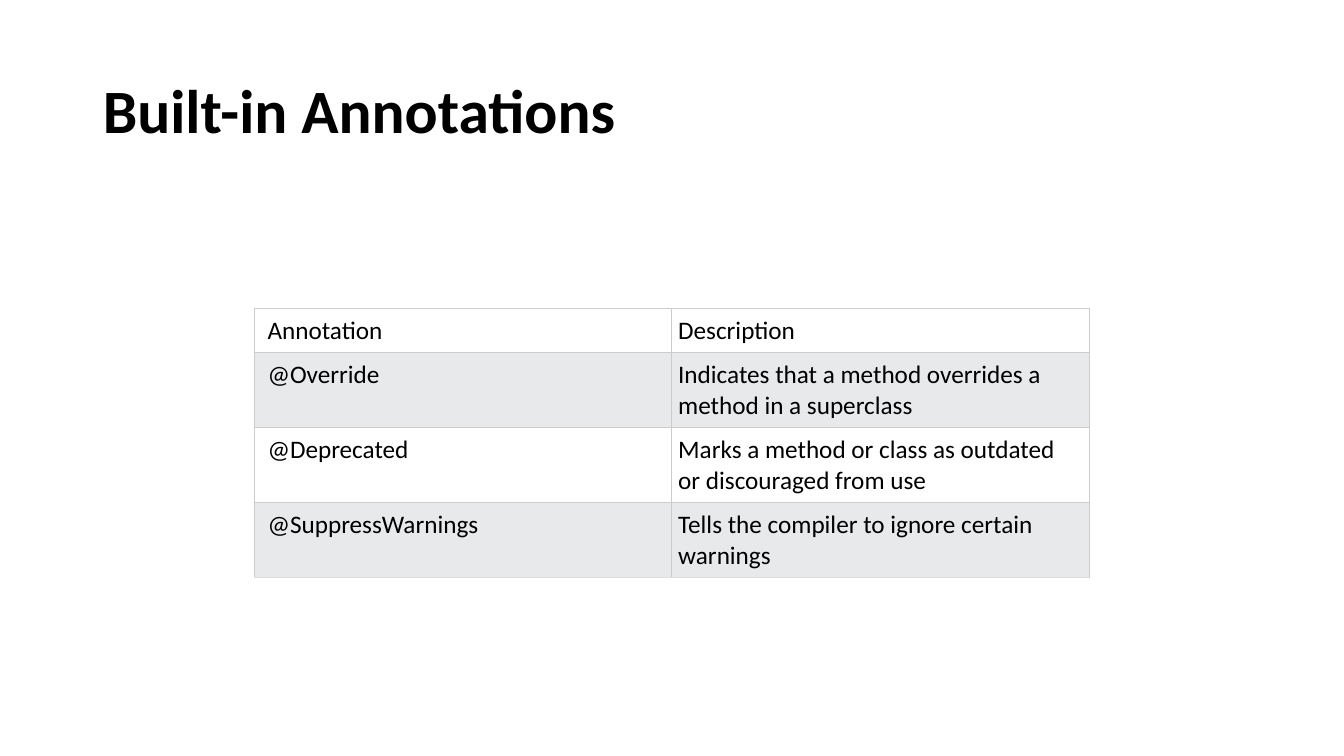
from dataclasses import dataclass

from lxml import etree
from pptx import Presentation
from pptx.dml.color import RGBColor
from pptx.enum.text import MSO_ANCHOR, PP_ALIGN
from pptx.oxml.ns import qn
from pptx.util import Inches, Pt

MIDDLE, TOP = MSO_ANCHOR.MIDDLE, MSO_ANCHOR.TOP
LEFT = PP_ALIGN.LEFT
TITLE_ONLY = 5


@dataclass(frozen=True)
class Theme:
    font: str = "Calibri"
    text: str = "000000"
    plain: str = "FFFFFF"
    band: str = "E7E9EB"
    border: str = "CCCCCC"
    bottom_border: str = "DDDDDD"
    title_size: int = 44
    body_size: int = 18
    border_width: float = 0.6


THEME = Theme()

ANNOTATIONS = [
    ("Annotation", "Description"),
    ("@Override", "Indicates that a method overrides a method in a superclass"),
    ("@Deprecated", "Marks a method or class as outdated or discouraged from use"),
    ("@SuppressWarnings", "Tells the compiler to ignore certain warnings"),
]


def style(p, size, bold=False):
    p.alignment = LEFT
    p.font.name = THEME.font
    p.font.size = Pt(size)
    p.font.bold = bold
    p.font.color.rgb = RGBColor.from_string(THEME.text)


def add_title(s, text, left, top, width, height):
    sp = s.shapes.title
    sp.left, sp.top = Inches(left), Inches(top)
    sp.width, sp.height = Inches(width), Inches(height)
    tf = sp.text_frame
    tf.text = text
    tf.vertical_anchor = MIDDLE
    p = tf.paragraphs[0]
    p.line_spacing = 0.9
    style(p, THEME.title_size, bold=True)


def set_borders(cell, bottom):
    tc_pr = cell._tc.get_or_add_tcPr()
    for side in "LRTB":
        ln = etree.SubElement(tc_pr, qn(f"a:ln{side}"), w=str(Pt(THEME.border_width)))
        fill = etree.SubElement(ln, qn("a:solidFill"))
        color = bottom if side == "B" else THEME.border
        etree.SubElement(fill, qn("a:srgbClr"), val=color)


def format_cell(cell, text, row, col, is_last):
    cell.text = text
    cell.vertical_anchor = TOP
    inset = Inches(1 / 15)
    cell.margin_left = inset * 2 if col == 0 else inset
    cell.margin_right = cell.margin_top = cell.margin_bottom = inset
    set_borders(cell, THEME.bottom_border if is_last else THEME.border)
    cell.fill.solid()
    cell.fill.fore_color.rgb = RGBColor.from_string(THEME.band if row % 2 else THEME.plain)
    style(cell.text_frame.paragraphs[0], THEME.body_size)


def add_annotation_table(s, rows, left, top, width, height):
    header_height = 0.43
    body_height = (height - header_height) / (len(rows) - 1)
    table = s.shapes.add_table(
        len(rows), len(rows[0]), Inches(left), Inches(top), Inches(width), Inches(height)
    ).table
    for i, row in enumerate(rows):
        table.rows[i].height = Inches(body_height if i else header_height)
        for j, text in enumerate(row):
            format_cell(table.cell(i, j), text, i, j, i == len(rows) - 1)


def main():
    prs = Presentation()
    prs.slide_width, prs.slide_height = Inches(13.33), Inches(7.5)
    s = prs.slides.add_slide(prs.slide_layouts[TITLE_ONLY])
    add_title(s, "Built-in Annotations", 0.92, 0.4, 5.88, 1.45)
    add_annotation_table(s, ANNOTATIONS, 2.52, 3.06, 8.28, 2.63)
    prs.save("out.pptx")


if __name__ == "__main__":
    main()
